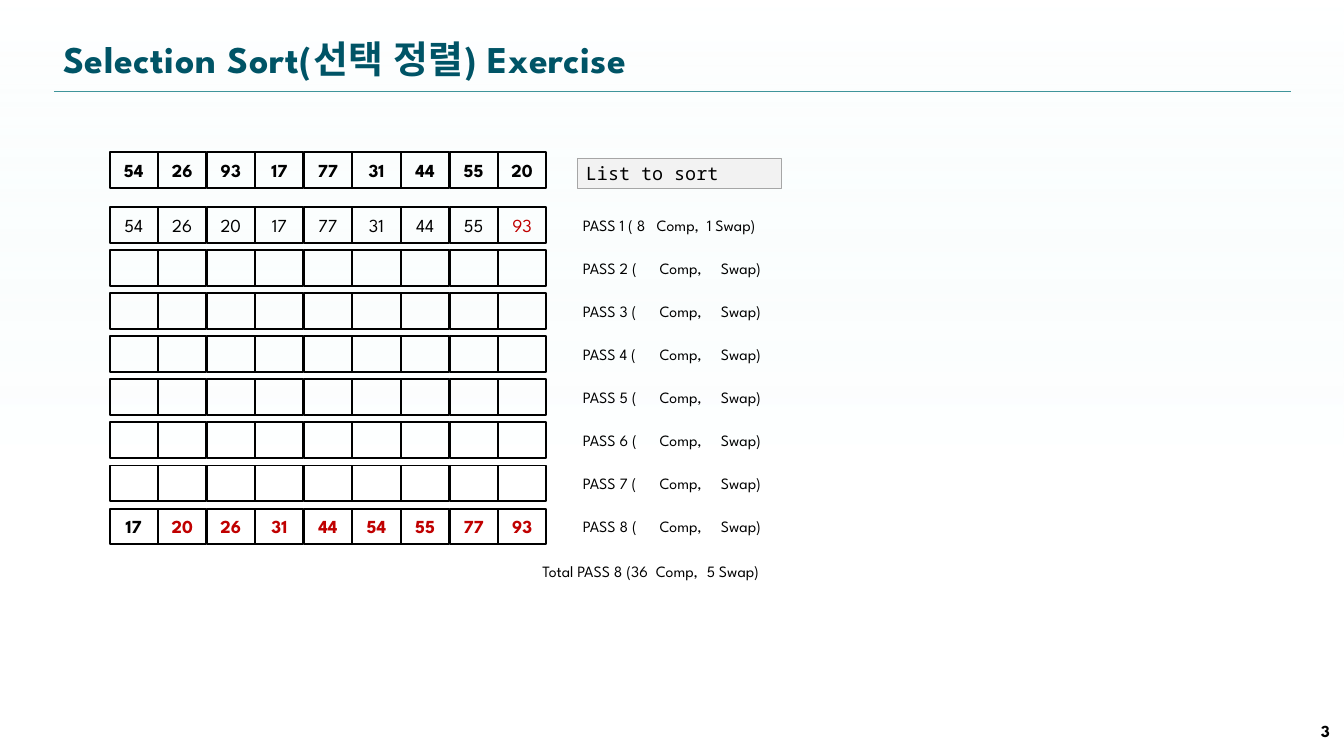
from lxml import etree
from pptx import Presentation
from pptx.dml.color import RGBColor
from pptx.enum.shapes import MSO_CONNECTOR, MSO_SHAPE
from pptx.enum.text import MSO_ANCHOR, PP_ALIGN
from pptx.oxml.ns import qn
from pptx.util import Inches, Pt

RECT = MSO_SHAPE.RECTANGLE
STRAIGHT = MSO_CONNECTOR.STRAIGHT
TOP, MIDDLE = MSO_ANCHOR.TOP, MSO_ANCHOR.MIDDLE
LEFT, CENTER, RIGHT = PP_ALIGN.LEFT, PP_ALIGN.CENTER, PP_ALIGN.RIGHT

FONT, MONO = "League Spartan", "Noto Sans Mono"
BLACK, RED, TEAL = "000000", "C00000", "005466"

COLUMNS = 9
CELL_LEFT, CELL_PITCH, CELL_W, CELL_H = 1.16, 0.51375, 0.51, 0.38
LIST_TOP, PASS_TOP, PASS_PITCH, PASSES = 1.61, 2.19, 0.456, 8
LABEL_LEFT, LABEL_OFFSET = 6.07, 0.04

UNSORTED = [54, 26, 93, 17, 77, 31, 44, 55, 20]
# Pass number: (values, first column shown in red, bold)
FILLED_PASSES = {
    1: ([54, 26, 20, 17, 77, 31, 44, 55, 93], 8, False),
    8: ([17, 20, 26, 31, 44, 54, 55, 77, 93], 1, True),
}


def rgb(value):
    return RGBColor.from_string(value)


def box(*lengths):
    return [Inches(n) for n in lengths]


def write(sp, text, size, color=BLACK, font=FONT, bold=False,
          align=LEFT, anchor=TOP, insets=(0.1, 0.05)):
    """Set one paragraph of text and return its run."""
    tf = sp.text_frame
    tf.word_wrap = True
    tf.vertical_anchor = anchor
    tf.margin_left = tf.margin_right = Inches(insets[0])
    tf.margin_top = tf.margin_bottom = Inches(insets[1])
    p = tf.paragraphs[0]
    p.text = text
    p.alignment = align
    r = p.runs[0]
    r.font.name, r.font.size, r.font.bold = font, Pt(size), bold
    r.font.color.rgb = rgb(color)
    return r


def add_text(s, at, text, size, **style):
    sp = s.shapes.add_textbox(*box(*at))
    write(sp, text, size, **style)
    return sp


def add_rect(shapes, at, line=None, width=1.5, fill=None):
    sp = shapes.add_shape(RECT, *box(*at))
    sp.shadow.inherit = False
    if fill:
        sp.fill.solid()
        sp.fill.fore_color.rgb = rgb(fill)
    else:
        sp.fill.background()
    if line:
        sp.line.color.rgb = rgb(line)
        sp.line.width = Pt(width)
    else:
        sp.line.fill.background()
    return sp


def add_background(s):
    sp = add_rect(s.shapes, (0, 0, 14.22, 8))
    sp.fill.gradient()
    sp.fill.gradient_angle = 270
    stops = [("D9F3F4", 0, 0), ("FFFFFF", 0.61, 40)]
    for stop, (color, position, opacity) in zip(sp.fill.gradient_stops, stops):
        stop.color.rgb = rgb(color)
        stop.position = position
    colors = sp.fill._xPr.iter(qn("a:srgbClr"))
    for clr, (_, _, opacity) in zip(colors, stops):
        etree.SubElement(clr, qn("a:alpha"), val=str(opacity * 1000))


def add_rule(s):
    line = s.shapes.add_connector(STRAIGHT, *box(0.57, 0.96, 13.66, 0.96))
    line.line.color.rgb = rgb("3F949A")
    line.line.width = Pt(0.25)
    etree.SubElement(line._element.spPr, qn("a:effectLst"))


def add_title(s, text):
    sp = add_text(s, (0.57, 0.32, 13.09, 0.6), text, 28.8, color=TEAL,
                  bold=True, anchor=MIDDLE)
    r = sp.text_frame.paragraphs[0].runs[0]
    r.font._element.set("spc", "50")


def add_array(s, top, values=(), red_from=COLUMNS, bold=False):
    """Draw one row of cells; cells from column red_from on have red text."""
    group = s.shapes.add_group_shape()
    for col in range(COLUMNS):
        left = CELL_LEFT + col * CELL_PITCH
        sp = add_rect(group.shapes, (left, top, CELL_W, CELL_H), BLACK)
        if values:
            write(sp, str(values[col]), 14, bold=bold, align=CENTER,
                  color=RED if col >= red_from else BLACK,
                  anchor=MIDDLE, insets=(0.04, 0.04))


def add_count(s, left, top, text, stops):
    """Add a count line whose tabs stop at the given distances."""
    sp = add_text(s, (left, top, 2.97, 0.3), text, 12)
    pPr = sp.text_frame.paragraphs[0]._p.get_or_add_pPr()
    tabs = etree.SubElement(pPr, qn("a:tabLst"))
    for stop in stops:
        etree.SubElement(tabs, qn("a:tab"), pos=str(Inches(stop)), algn="l")


def main():
    prs = Presentation()
    prs.slide_width, prs.slide_height = box(14.22, 8)
    s = prs.slides.add_slide(prs.slide_layouts[6])

    add_background(s)
    add_rule(s)
    add_title(s, "Selection Sort(선택 정렬) Exercise")
    add_text(s, (12.92, 7.52, 1.25, 0.43), "3", 12.8, bold=True,
             align=RIGHT, anchor=MIDDLE)

    caption = add_rect(s.shapes, (6.11, 1.68, 2.16, 0.32), "A6A6A6", 0.75, "F2F2F2")
    write(caption, "List to sort", 14, font=MONO, insets=(0.09, 0.04))
    caption.text_frame.paragraphs[0].space_before = Pt(1)

    add_array(s, LIST_TOP, UNSORTED, bold=True)
    for number in range(1, PASSES + 1):
        top = PASS_TOP + (number - 1) * PASS_PITCH
        add_array(s, top, *FILLED_PASSES.get(number, ()))
        if number == 1:
            text, stops = "PASS 1 ( 8\tComp,\t1 Swap)", (0.78, 1.31)
        else:
            text, stops = f"PASS {number} (\tComp,\tSwap)", (0.81, 1.46)
        add_count(s, LABEL_LEFT, top + LABEL_OFFSET, text, stops)
    add_count(s, 5.64, 5.9, "Total PASS 8 (36\tComp,\t5 Swap)", (1.2, 1.74))

    prs.save("out.pptx")


if __name__ == "__main__":
    main()
